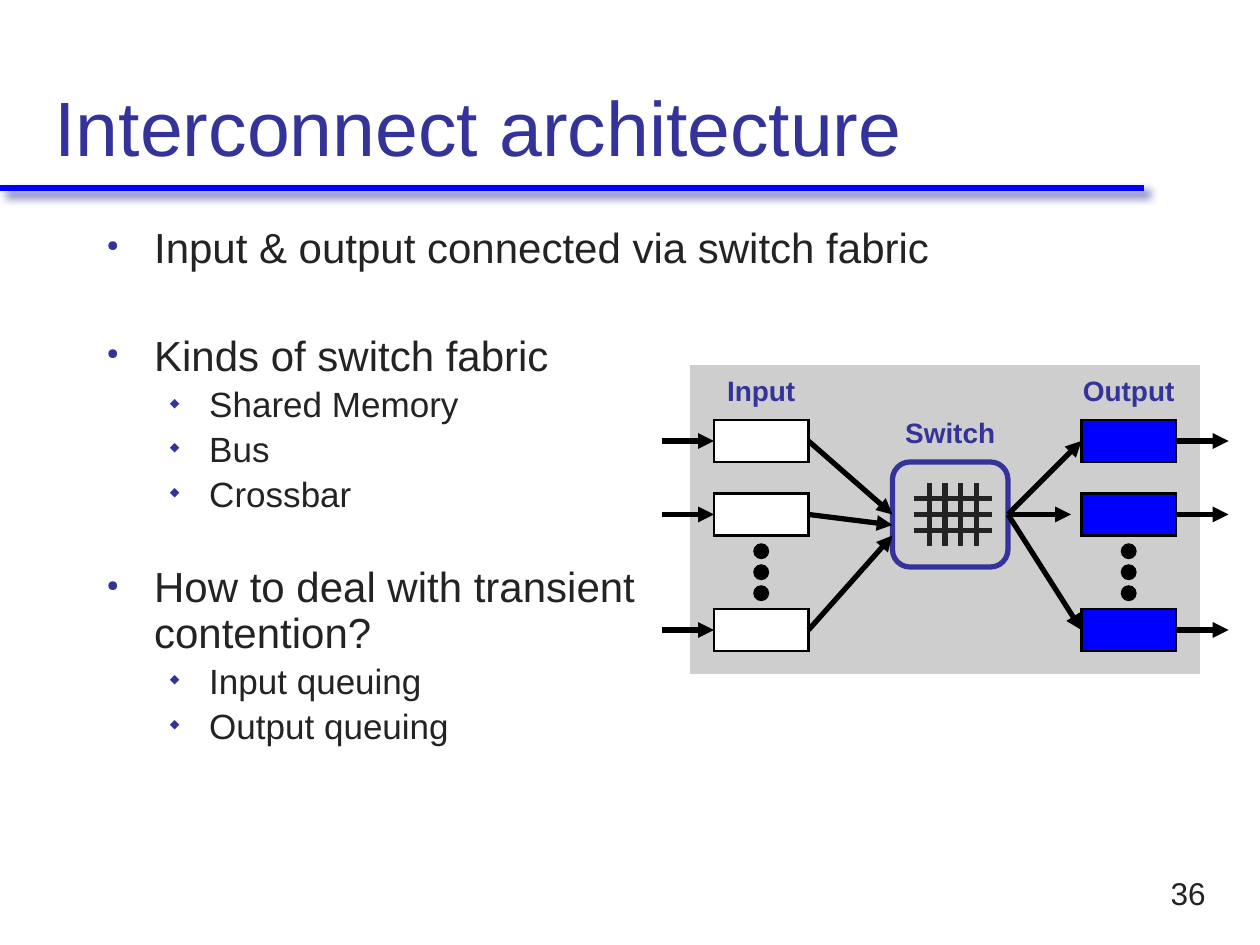
"""Builds the slide on interconnect architecture."""
from lxml import etree
from pptx import Presentation
from pptx import util as u
from pptx.dml.color import RGBColor
from pptx.enum import shapes, text
from pptx.oxml import ns

Pt = u.Pt
HUES = {
    "navy": "333399", "blue": "0000FF", "ink": "232323",
    "grey": "CECECE", "white": "FFFFFF", "black": "000000",
}
ROWS = (252, 294, 360)
ITEMS = (
    (0, "Input & output connected via switch fabric", 0),
    (0, "Kinds of switch fabric", 36),
    (1, "Shared Memory", 4),
    (1, "Bus", 4),
    (1, "Crossbar", 4),
    (0, "How to deal with transient\ncontention?", 29.5),
    (1, "Input queuing", 4),
    (1, "Output queuing", 4),
)
LEVELS = (("●", 27, 27, 24), ("◆", 58.5, 22.5, 20))


def rgb(hue):
    """Return the named colour."""
    return RGBColor.from_string(HUES[hue])


def sub(node, tag, **attrs):
    """Append a drawing element to a node."""
    return etree.SubElement(node, ns.qn("a:" + tag), attrs)


def write(para, words, size=16, hue="navy", bold=False, align=None):
    """Put formatted text in a paragraph."""
    para.text = words
    para.alignment = align
    for run in para.runs:
        font = run.font
        font.name, font.size, font.bold = "Arial", Pt(size), bold
        font.color.rgb = rgb(hue)


def add_box(tree, x, y, w, h, wrap=False):
    """Add a text box and return its frame."""
    frame = tree.add_textbox(Pt(x), Pt(y), Pt(w), Pt(h)).text_frame
    frame.word_wrap = wrap
    return frame


def add_label(tree, mid, y, words):
    """Add a bold label centred on a given x."""
    frame = add_box(tree, mid - 40, y, 80, 26.6)
    write(frame.paragraphs[0], words, bold=True, align=text.PP_ALIGN.CENTER)


def add_form(tree, kind, x, y, w, h, fill, edge="black", width=3):
    """Add a preset shape with a fill and an outline."""
    form = tree.add_shape(kind, Pt(x), Pt(y), Pt(w), Pt(h))
    form.shadow.inherit = False
    if fill:
        form.fill.solid()
        form.fill.fore_color.rgb = rgb(fill)
    else:
        form.fill.background()
    form.line.color.rgb = rgb(edge)
    form.line.width = Pt(width)
    sub(form.line._get_or_add_ln(), "miter", lim="800000")


def add_line(tree, x1, y1, x2, y2, hue="black", width=3, head=False):
    """Add a line and return its effect list."""
    line = tree.add_connector(
        shapes.MSO_CONNECTOR.STRAIGHT, Pt(x1), Pt(y1), Pt(x2), Pt(y2))
    line.line.color.rgb = rgb(hue)
    line.line.width = Pt(width)
    if head:
        sub(line.line._get_or_add_ln(), "tailEnd", type="triangle")
    return sub(line._element.spPr, "effectLst")


def add_rule(tree):
    """Add the shadowed rule under the title."""
    effects = add_line(tree, 0, 107.5, 653.75, 107.5, "blue", 3.5)
    shade = sub(effects, "outerShdw", blurRad=str(Pt(5)), dist=str(Pt(4.2)),
                dir="2700000", algn="ctr", rotWithShape="0")
    sub(sub(shade, "srgbClr", val=HUES["navy"]), "alpha", val="75000")


def add_title(slide):
    """Place and fill the title."""
    title = slide.shapes.title
    title.left, title.top, title.width, title.height = map(Pt, (24, 12, 672, 90))
    frame = title.text_frame
    frame.auto_size = text.MSO_AUTO_SIZE.NONE
    frame.vertical_anchor = text.MSO_ANCHOR.BOTTOM
    write(frame.paragraphs[0], "Interconnect architecture", size=44,
          align=text.PP_ALIGN.LEFT)


def add_list(tree):
    """Add the two-level bullet list."""
    frame = add_box(tree, 54, 126, 490, 372, wrap=True)
    for i, (level, words, gap) in enumerate(ITEMS):
        para = frame.add_paragraph() if i else frame.paragraphs[0]
        mark, left, hang, size = LEVELS[level]
        props = para._p.get_or_add_pPr()
        props.set("marL", str(Pt(left)))
        props.set("indent", str(-Pt(hang)))
        sub(sub(props, "buClr"), "srgbClr", val=HUES["navy"])
        sub(props, "buSzPct", val="36000")
        sub(props, "buChar", char=mark)
        para.level = level
        para.line_spacing = 0.9
        para.space_before = Pt(gap)
        write(para, words, size=size, hue="ink")


def add_ports(tree, x, fill, name):
    """Add a column of ports with its label, dots and outer arrows."""
    kinds = shapes.MSO_SHAPE
    for y in ROWS:
        add_form(tree, kinds.RECTANGLE, x, y - 12, 54, 24, fill, width=1.5)
        start = x - 30 if name == "Input" else x + 54
        add_line(tree, start, y, start + 30, y, head=True)
    for y in (312, 324, 336):
        add_form(tree, kinds.OVAL, x + 24, y, 6, 6, "black")
    add_label(tree, x + 27, 210, name)


def add_switch(tree):
    """Add the switch with its grid and the arrows to and from it."""
    grid = tree.add_group_shape().shapes
    for x in range(531, 559, 9):
        add_line(grid, x, 276, x, 312, "ink")
    for y in range(285, 304, 9):
        add_line(grid, 522, y, 567, y, "ink")
    add_form(tree, shapes.MSO_SHAPE.ROUNDED_RECTANGLE,
             510, 264, 66, 60, None, "navy")
    add_label(tree, 543, 234, "Switch")
    for y, entry, end in zip(ROWS, (294, 300, 306), (618, 612, 618)):
        add_line(tree, 462, y, 510, entry, head=True)
        add_line(tree, 576, 294, end, y, head=True)


def main():
    """Build and save the slide."""
    deck = Presentation()
    deck.slide_width, deck.slide_height = Pt(720), Pt(540)
    slide = deck.slides.add_slide(deck.slide_layouts[5])
    tree = slide.shapes
    add_rule(tree)
    add_title(slide)
    add_list(tree)
    add_form(tree, shapes.MSO_SHAPE.RECTANGLE, 396, 210, 288, 174, "grey", "grey")
    add_ports(tree, 408, "white", "Input")
    add_ports(tree, 618, "blue", "Output")
    add_switch(tree)
    frame = add_box(tree, 648, 492, 48, 36)
    frame.vertical_anchor = text.MSO_ANCHOR.MIDDLE
    write(frame.paragraphs[0], "36", size=18, hue="ink",
          align=text.PP_ALIGN.RIGHT)
    deck.save("out.pptx")


if __name__ == "__main__":
    main()
